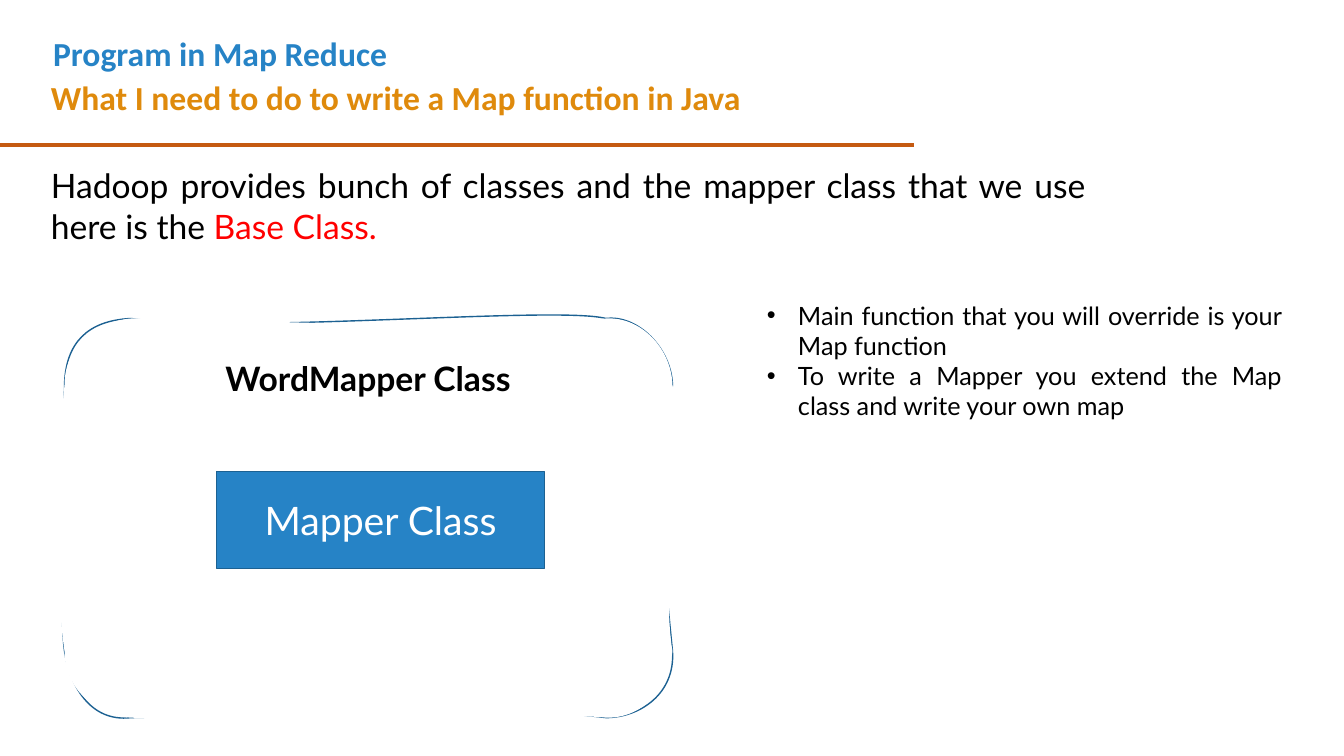
from dataclasses import dataclass

from lxml.etree import SubElement
from pptx import Presentation
from pptx.dml.color import RGBColor
from pptx.enum.shapes import MSO_CONNECTOR, MSO_SHAPE
from pptx.enum.text import MSO_ANCHOR, MSO_AUTO_SIZE, PP_ALIGN
from pptx.oxml.ns import qn
from pptx.util import Inches, Pt

# Content: text runs are (text, colour name)
TITLE = [("Program in Map Reduce", "blue")]
SUBTITLE = [("What I need to do to write a Map function in Java", "gold")]
INTRO = [
    ("Hadoop provides bunch of classes and the mapper class that we use here is the ", "black"),
    ("Base Class.", "red"),
]
BULLETS = [
    [("Main function that you will override is your Map function", "black")],
    [("To write a Mapper you extend the Map class and write your own map", "black")],
]
WORD_MAPPER = [("WordMapper Class", "black")]
MAPPER = [("Mapper Class", "white")]

# Places: left, top, width, height in percent of the slide
PLACES = {
    "title": (3.2, 3.73, 61.5, 6.67),
    "subtitle": (3.05, 9.47, 65.64, 6.67),
    "intro": (3.05, 21.2, 78.47, 12.13),
    "word_mapper": (8.18, 46.67, 38.4, 6.67),
    "mapper": (16.13, 62.4, 24.38, 12.8),
    "bullets": (56.3, 39.02, 39.83, 17.47),
}
RULE_END, RULE_TOP = 68.04, 19.2

# Sketched frame: Bezier curves in inches, each (control, control, end)
FRAME_START = (0.64, 3.82)
FRAME_OUTLINE = [
    ((0.65, 3.4), (0.87, 3.18), (1.3, 3.16)),
    ((2.33, 3.32), (5.51, 3.03), (6.01, 3.16)),
    ((6.33, 3.12), (6.66, 3.46), (6.67, 3.82)),
    ((6.51, 4.96), (6.55, 5.23), (6.67, 6.46)),
    ((6.7, 6.88), (6.35, 7.12), (6.01, 7.12)),
    ((4.59, 6.95), (2.66, 7.09), (1.3, 7.12)),
    ((0.89, 7.17), (0.69, 6.79), (0.64, 6.46)),
    ((0.59, 6.11), (0.63, 4.94), FRAME_START),
]
FRAME_FILL = [
    ((0.64, 3.44), (0.94, 3.19), (1.3, 3.16)),
    ((2.03, 3.15), (4.43, 3.3), (6.01, 3.16)),
    ((6.36, 3.14), (6.66, 3.46), (6.67, 3.82)),
    ((6.77, 4.24), (6.55, 5.78), (6.67, 6.46)),
    ((6.62, 6.87), (6.35, 7.13), (6.01, 7.12)),
    ((5.29, 7.05), (2.03, 7.16), (1.3, 7.12)),
    ((0.99, 7.11), (0.64, 6.86), (0.64, 6.46)),
    ((0.56, 5.93), (0.54, 4.82), FRAME_START),
]


@dataclass(frozen=True)
class Theme:
    blue: str = "2683C6"
    gold: str = "DF8A0C"
    black: str = "000000"
    red: str = "FF0000"
    white: str = "FFFFFF"
    rule: str = "C55A11"
    edge: str = "1C6192"
    heading_font: str = "Calibri"
    body_font: str = "Lato"
    heading_size: int = 24
    list_size: int = 18
    box_size: int = 28

    def color(self, name):
        return RGBColor.from_string(getattr(self, name))


THEME = Theme()
presentation = Presentation()
presentation.slide_width = Inches(13.33)
presentation.slide_height = Inches(7.5)
slide = presentation.slides.add_slide(presentation.slide_layouts[1])
shapes = slide.shapes


def across(percent):
    return round(presentation.slide_width * percent / 100)


def down(percent):
    return round(presentation.slide_height * percent / 100)


def box(name):
    left, top, width, height = PLACES[name]
    return across(left), down(top), across(width), down(height)


def move(shape, name):
    shape.left, shape.top, shape.width, shape.height = box(name)


def write(shape, paragraphs, size, font=THEME.body_font, bold=False,
          align=PP_ALIGN.LEFT, anchor=MSO_ANCHOR.TOP, bullet=None):
    frame = shape.text_frame
    frame.word_wrap = True
    frame.auto_size = MSO_AUTO_SIZE.NONE
    frame.vertical_anchor = anchor
    frame.text = "\n".join("" for _ in paragraphs)
    for paragraph, runs in zip(frame.paragraphs, paragraphs):
        paragraph.alignment = align
        paragraph.space_before = Pt(0)
        if bullet:
            properties = paragraph._p.get_or_add_pPr()
            properties.set("marL", str(Inches(0.31)))
            properties.set("indent", str(-Inches(0.31)))
            SubElement(properties, qn("a:buFont")).set("typeface", "Arial")
            SubElement(properties, qn("a:buChar")).set("char", bullet)
        for text, color in runs:
            run = paragraph.add_run()
            run.text = text
            run.font.name = font
            run.font.size = Pt(size)
            run.font.bold = bold
            run.font.color.rgb = THEME.color(color)


def paint(shape, fill):
    shape.shadow.inherit = False
    shape.fill.solid()
    shape.fill.fore_color.rgb = THEME.color(fill)
    shape.line.color.rgb = THEME.color("edge")
    shape.line.width = Pt(1)


def add_curves(shape, curve_list, curves, **settings):
    """Append one closed curved contour to the shape's geometry."""
    contour = SubElement(curve_list, qn("a:path"), w=str(shape.width),
                         h=str(shape.height), **settings)
    commands = [("a:moveTo", [FRAME_START])]
    commands += [("a:cubicBezTo", points) for points in curves]
    for tag, points in commands:
        command = SubElement(contour, qn(tag))
        for x, y in points:
            SubElement(command, qn("a:pt"), x=str(Inches(x) - shape.left),
                       y=str(Inches(y) - shape.top))
    SubElement(contour, qn("a:close"))


# Headings and rule
move(shapes.title, "title")
write(shapes.title, [TITLE], THEME.heading_size, THEME.heading_font, bold=True)
write(shapes.add_textbox(*box("subtitle")), [SUBTITLE], THEME.heading_size,
      THEME.heading_font, bold=True)
rule = shapes.add_connector(MSO_CONNECTOR.STRAIGHT, 0, down(RULE_TOP),
                            across(RULE_END), down(RULE_TOP))
rule.line.color.rgb = THEME.color("rule")
rule.line.width = Pt(3)
SubElement(rule._element.spPr, qn("a:effectLst"))

# Introduction
write(shapes.add_textbox(*box("intro")), [INTRO], THEME.heading_size,
      align=PP_ALIGN.JUSTIFY)

# Sketched frame: corner points first, then curved line and curved fill
builder = shapes.build_freeform(*map(Inches, FRAME_START))
builder.add_line_segments([tuple(map(Inches, end)) for _, _, end in FRAME_OUTLINE])
sketch = builder.convert_to_shape()
paint(sketch, "white")
curve_list = next(sketch._element.iter(qn("a:pathLst")))
curve_list.remove(curve_list[0])
add_curves(sketch, curve_list, FRAME_OUTLINE, fill="none")
add_curves(sketch, curve_list, FRAME_FILL, stroke="0")

# Classes inside the frame
write(shapes.add_textbox(*box("word_mapper")), [WORD_MAPPER], THEME.heading_size,
      bold=True, align=PP_ALIGN.CENTER)
mapper = shapes.add_shape(MSO_SHAPE.RECTANGLE, *box("mapper"))
paint(mapper, "blue")
write(mapper, [MAPPER], THEME.box_size, align=PP_ALIGN.CENTER, anchor=MSO_ANCHOR.MIDDLE)

# Bullet list
bullet_list = slide.placeholders[1]
move(bullet_list, "bullets")
write(bullet_list, BULLETS, THEME.list_size, align=PP_ALIGN.JUSTIFY, bullet="•")

presentation.save("out.pptx")
